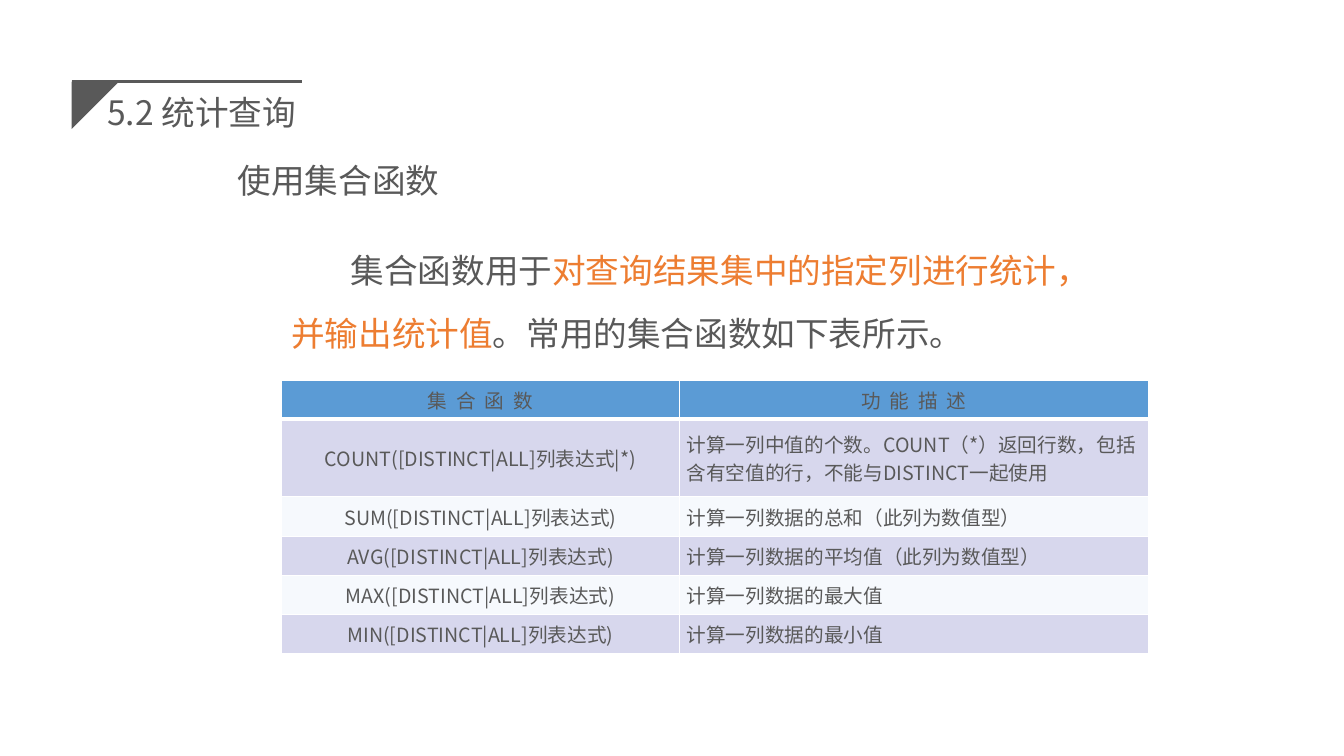
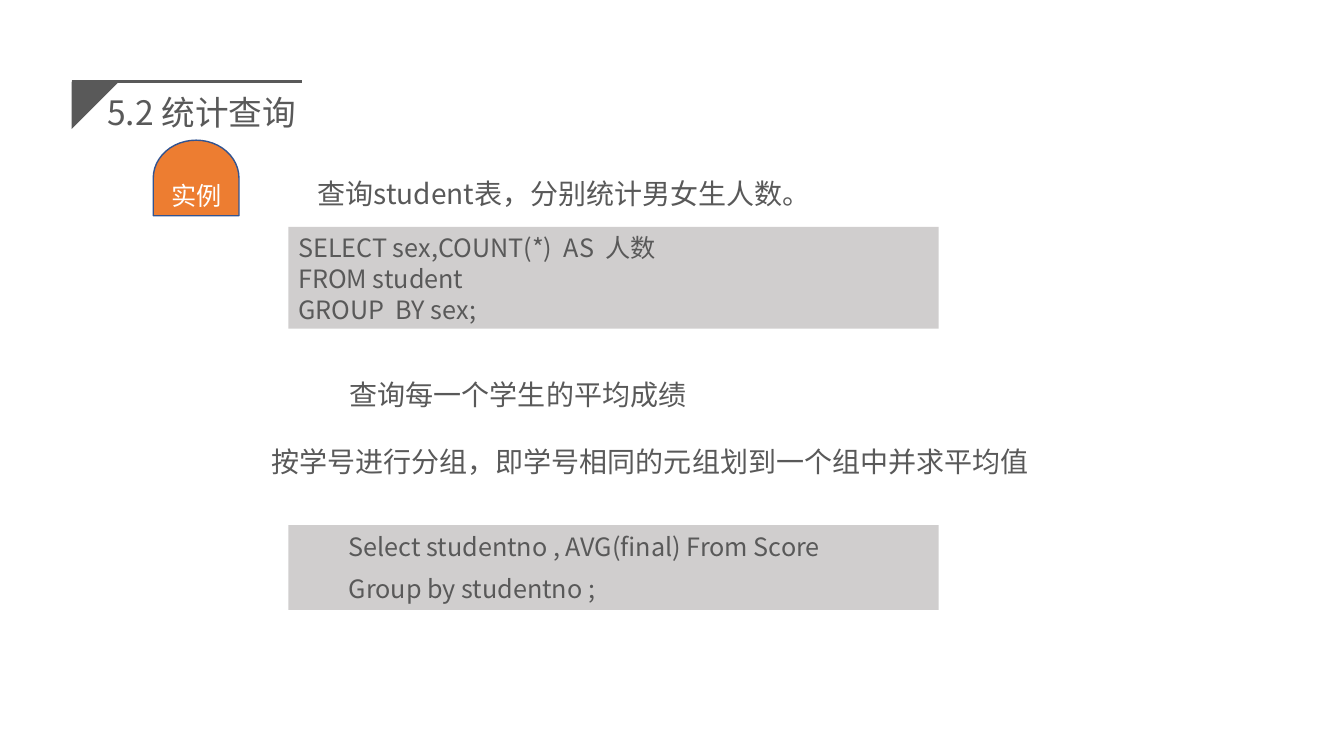
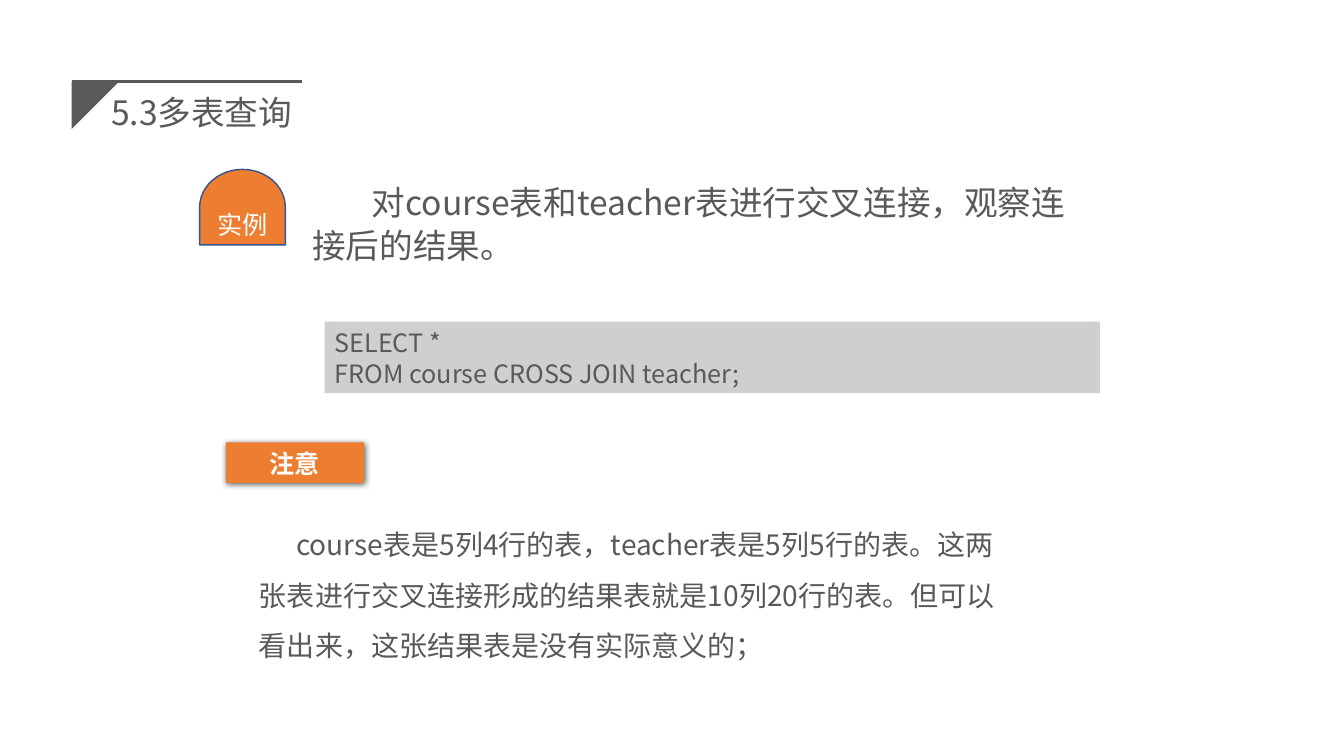
import pptx
import pptx.util
import pptx.dml.color
import pptx.enum.shapes
import pptx.enum.text
import pptx.oxml
import pptx.oxml.ns
import lxml.etree

Inches = pptx.util.Inches
Pt = pptx.util.Pt
MSO = pptx.enum.shapes.MSO_SHAPE
ALIGN = pptx.enum.text.PP_ALIGN
ANCHOR = pptx.enum.text.MSO_ANCHOR
qn = pptx.oxml.ns.qn
FONT = "Noto Sans CJK SC"
C = {
    "gray": "595959",
    "orange": "ED7D31",
    "navy": "325491",
    "code": "D0CECE",
    "head": "5B9BD5",
    "band": "D7D7ED",
    "pale": "F6F9FD",
    "white": "FFFFFF",
    "black": "000000",
}
RGB = {name: pptx.dml.color.RGBColor.from_string(c) for name, c in C.items()}


def write(tf, paras, size, color="gray", bold=False, spacing=None, indent=0, left=0,
          before=0, track=None, align=ALIGN.LEFT, frame=None):
    for name, value in {"word_wrap": True, "vertical_anchor": ANCHOR.TOP, **(frame or {})}.items():
        setattr(tf, name, value)
    for i, runs in enumerate(paras):
        p = tf.paragraphs[0] if i == 0 else tf.add_paragraph()
        p_format = {"alignment": align, "space_before": Pt(before),
                    "line_spacing": Pt(spacing) if spacing else None}
        for name, value in p_format.items():
            setattr(p, name, value)
        pPr = p._p.get_or_add_pPr()
        pPr.set("marL", str(Inches(left)))
        pPr.set("indent", str(Inches(indent)))
        for run in [(runs, color)] if isinstance(runs, str) else runs:
            r = p.add_run()
            r.text = run[0]
            for name, value in {"size": Pt(size), "bold": bold, "name": FONT}.items():
                setattr(r.font, name, value)
            r.font.color.rgb = RGB[run[1]]
            rPr = r._r.get_or_add_rPr()
            lxml.etree.SubElement(rPr, qn("a:ea")).set("typeface", FONT)
            if track:
                rPr.set("spc", str(track))


def shape(s, kind, box, fill, line=None):
    sp = s.shapes.add_shape(kind, *map(Inches, box))
    sp.shadow.inherit = False
    sp.fill.solid()
    sp.fill.fore_color.rgb = RGB[fill]
    if line:
        sp.line.color.rgb = RGB[line]
        sp.line.width = Pt(1)
    else:
        sp.line.fill.background()
    return sp


prs = pptx.Presentation()
prs.slide_width = Inches(13.33)
prs.slide_height = Inches(7.5)

slides = []
for title in ["5.2 统计查询", "5.2 统计查询", "5.3多表查询"]:
    s = prs.slides.add_slide(prs.slide_layouts[6])
    slides.append(s)
    tb = s.shapes.add_textbox(Inches(0.83), Inches(0.69), Inches(2.34), Inches(0.84))
    write(tb.text_frame, [title], 24, spacing=29, align=ALIGN.CENTER,
          frame={"vertical_anchor": ANCHOR.MIDDLE})
    fb = s.shapes.build_freeform(Inches(0.71), Inches(0.81))
    fb.add_line_segments([(Inches(1.18), Inches(0.81)), (Inches(0.71), Inches(1.28))])
    corner = fb.convert_to_shape()
    corner.shadow.inherit = False
    corner.fill.solid()
    corner.fill.fore_color.rgb = RGB["gray"]
    corner.line.fill.background()
    rule = s.shapes.add_connector(pptx.enum.shapes.MSO_CONNECTOR.STRAIGHT,
                                  Inches(0.71), Inches(0.81), Inches(3), Inches(0.81))
    rule.line.color.rgb = RGB["gray"]
    rule.line.width = Pt(1.75)
    lxml.etree.SubElement(rule._element.spPr, qn("a:effectLst"))
functions, grouping, joins = slides

code_blocks = [
    (grouping, (2.86, 2.25, 6.45, 1.01),
     ["SELECT sex,COUNT(*)  AS  人数", "FROM student", "GROUP  BY sex;"], {"spacing": 22}),
    (grouping, (2.86, 5.21, 6.45, 0.84),
     ["Select studentno , AVG(final) From Score", "Group by studentno ;"],
     {"spacing": 22.3, "before": 8.2, "left": 0.5}),
    (joins, (3.22, 3.19, 7.69, 0.71),
     ["SELECT *", "FROM course CROSS JOIN teacher;"], {"spacing": 22}),
]
for s, box, lines, fmt in code_blocks:
    write(shape(s, MSO.RECTANGLE, box, "code").text_frame, lines, 18, **fmt)

for s, x, y in [(grouping, 1.57, 1.34), (joins, 2.03, 1.63)]:
    badge = shape(s, MSO.FLOWCHART_DELAY, (x, y, 0.75, 0.85), "orange", "navy")
    badge.rotation = 270
    tb = s.shapes.add_textbox(Inches(x + 0.03), Inches(y + 0.39), Inches(0.93), Inches(0.4))
    write(tb.text_frame, ["实例"], 18, "white", spacing=22)

no_inset = {f"margin_{side}": 0 for side in ("left", "top", "right", "bottom")}
texts = [
    (functions, (2.79, 2.03, 7.97, 1.51), 24,
     [("集合函数用于", "gray"), ("对查询结果集中的指定列进行统计，并输出统计值", "orange"),
      ("。常用的集合函数如下表所示。", "gray")],
     {"spacing": 45, "indent": 0.59, "frame": {"margin_top": Inches(0.22)}}),
    (functions, (2.26, 1.53, 7.97, 0.5), 24, "使用集合函数", {"spacing": 29}),
    (grouping, (2.46, 1.53, 7.26, 0.64), 20, "查询student表，分别统计男女生人数。",
     {"spacing": 25, "indent": 0.59, "frame": {"margin_top": Inches(0.21)}}),
    (grouping, (2.69, 4.44, 7.71, 0.31), 20,
     "按学号进行分组，即学号相同的元组划到一个组中并求平均值",
     {"spacing": 22.1, "frame": no_inset}),
    (grouping, (3.37, 3.59, 5.44, 0.54), 20, "查询每一个学生的平均成绩", {"spacing": 31.6}),
    (joins, (3, 1.62, 7.97, 1.04), 24,
     "对course表和teacher表进行交叉连接，观察连接后的结果。",
     {"spacing": 31, "indent": 0.59, "frame": {"margin_top": Inches(0.15)}}),
    (joins, (2.47, 5.02, 7.67, 1.62), 20,
     "course表是5列4行的表，teacher表是5列5行的表。这两张表进行交叉连接形成的结果表就是"
     "10列20行的表。但可以看出来，这张结果表是没有实际意义的；",
     {"spacing": 36, "indent": 0.37}),
]
for s, box, size, text, fmt in texts:
    tb = s.shapes.add_textbox(*map(Inches, box))
    write(tb.text_frame, [text], size, **fmt)

note = shape(joins, MSO.RECTANGLE, (2.24, 4.39, 1.37, 0.4), "orange")
write(note.text_frame, ["注意"], 18, "white", bold=True, spacing=22, align=ALIGN.CENTER)
effects = note._element.spPr.find(qn("a:effectLst"))
shadow = lxml.etree.SubElement(effects, qn("a:outerShdw"))
for name, value in {"blurRad": Pt(4.5), "dist": Pt(1.5), "dir": 45 * 60000}.items():
    shadow.set(name, str(value))
tint = lxml.etree.SubElement(shadow, qn("a:srgbClr"))
tint.set("val", C["black"])
lxml.etree.SubElement(tint, qn("a:alpha")).set("val", "63000")

rows = [
    ("集 合 函 数", "功 能 描 述"),
    ("COUNT([DISTINCT|ALL]列表达式|*)",
     "计算一列中值的个数。COUNT（*）返回行数，包括含有空值的行，不能与DISTINCT一起使用"),
    ("SUM([DISTINCT|ALL]列表达式)", "计算一列数据的总和（此列为数值型）"),
    ("AVG([DISTINCT|ALL]列表达式)", "计算一列数据的平均值（此列为数值型）"),
    ("MAX([DISTINCT|ALL]列表达式)", "计算一列数据的最大值"),
    ("MIN([DISTINCT|ALL]列表达式)", "计算一列数据的最小值"),
]
table = functions.shapes.add_table(len(rows), 2, Inches(2.79), Inches(3.77),
                                   Inches(8.6), Inches(2.73)).table
table.first_row = table.horz_banding = False
for col, width in zip(table.columns, (3.95, 4.65)):
    col.width = Inches(width)
for i, row in enumerate(rows):
    table.rows[i].height = Inches(0.77 if i == 1 else 0.39)
    for j, text in enumerate(row):
        cell = table.cell(i, j)
        cell_format = {"vertical_anchor": ANCHOR.MIDDLE, "margin_left": Inches(0.07),
                       "margin_right": Inches(0.07), "margin_top": 0, "margin_bottom": 0}
        for name, value in cell_format.items():
            setattr(cell, name, value)
        write(cell.text_frame, [text], 14, track=160 if i == 0 else None,
              align=ALIGN.CENTER if i == 0 or j == 0 else ALIGN.LEFT,
              frame={"vertical_anchor": None, "word_wrap": None})
        tcPr = cell._tc.get_or_add_tcPr()
        for side in "LRTB":
            thick = (i, side) in [(0, "B"), (1, "T")]
            ln = lxml.etree.SubElement(tcPr, qn(f"a:ln{side}"))
            ln.set("w", str(Pt(3 if thick else 1)))
            fill = lxml.etree.SubElement(ln, qn("a:solidFill"))
            lxml.etree.SubElement(fill, qn("a:srgbClr")).set("val", C["white"])
        cell.fill.solid()
        cell.fill.fore_color.rgb = RGB["head" if i == 0 else "band" if i % 2 else "pale"]

prs.save("out.pptx")
